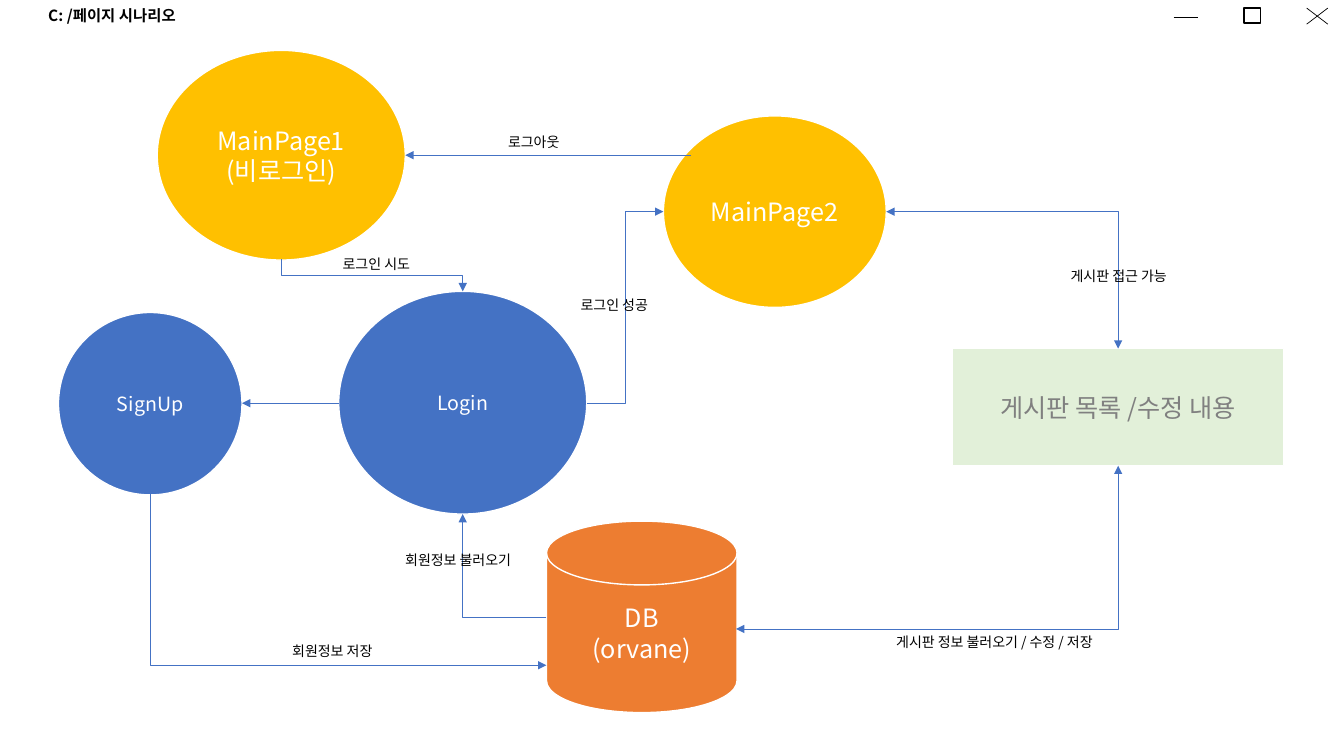
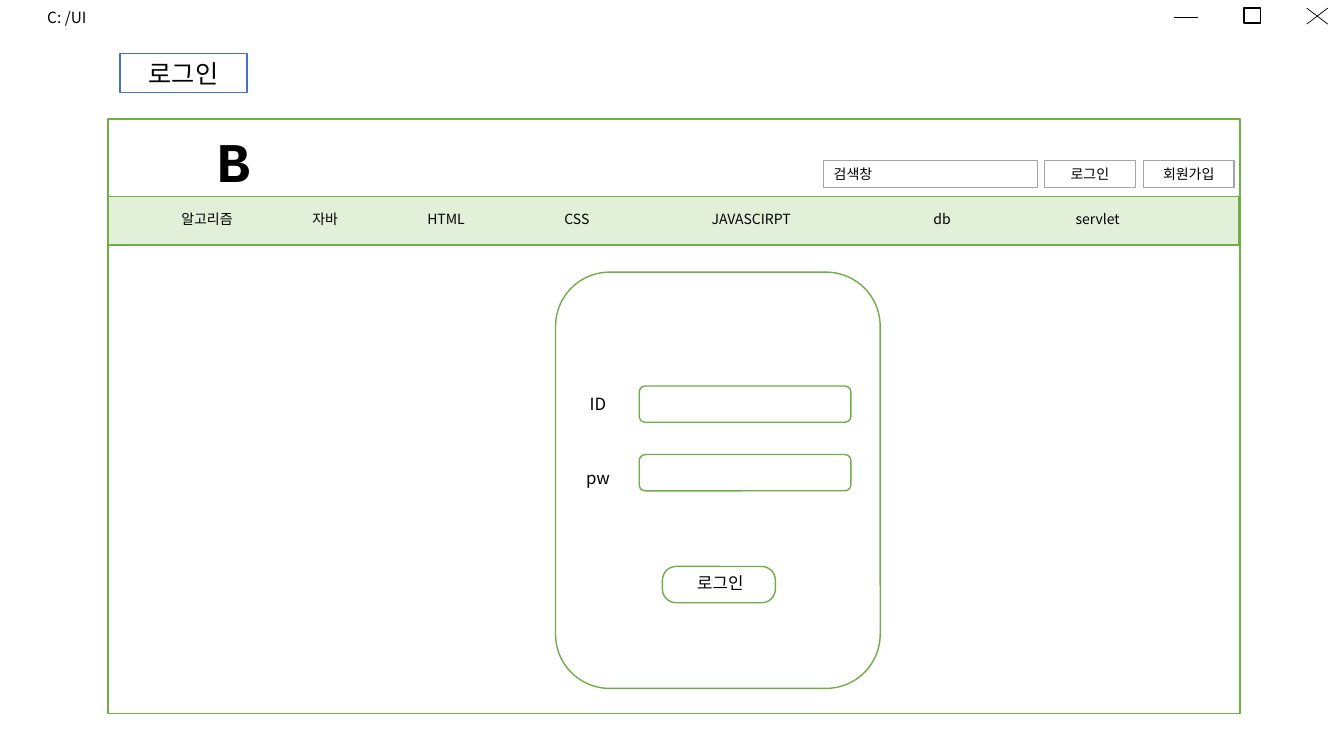
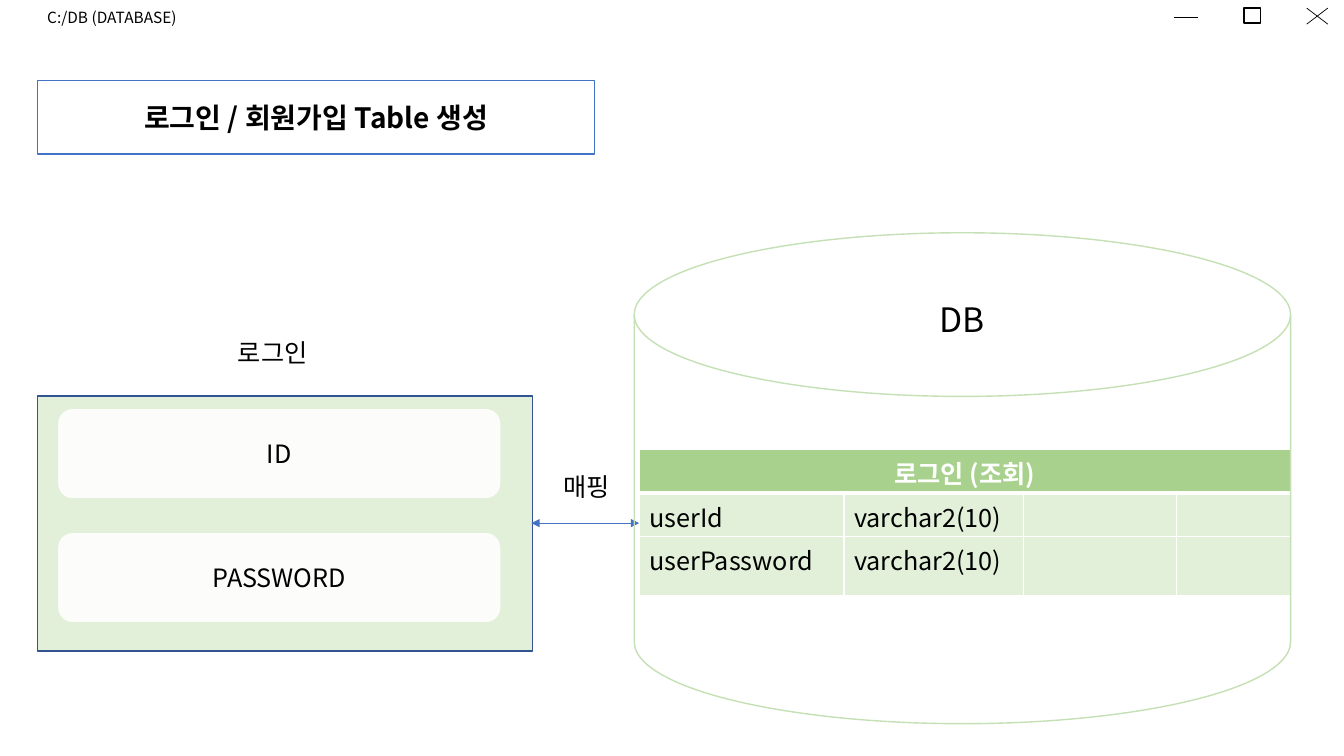
from lxml.etree import SubElement
from pptx import Presentation
from pptx.dml.color import RGBColor
from pptx.enum.shapes import MSO_CONNECTOR as Link, MSO_SHAPE as Shape
from pptx.enum.text import MSO_ANCHOR as Anchor, PP_ALIGN as Align
from pptx.oxml.ns import qn
from pptx.util import Inches, Pt

COLORS = {
    "black": "000000", "white": "FFFFFF", "gray": "808080", "silver": "A5A5A5",
    "blue": "4472C4", "navy": "325491", "gold": "FFC000", "orange": "ED7D31",
    "green": "70AD47", "leaf": "A9D18E", "mint": "C5E0B4", "pale": "E2F0D9",
}
FONT = "Noto Sans CJK KR"


def color(name):
    """Return the palette colour as an RGB value."""
    return RGBColor.from_string(COLORS[name])


def write_text(frame, text, size=10, ink="black", bold=False, align=Align.LEFT,
               anchor=Anchor.TOP, font=FONT):
    """Fill a text frame, one paragraph for each line of text."""
    frame.word_wrap = True
    frame.vertical_anchor = anchor
    for index, line in enumerate(text.split("\n")):
        para = frame.add_paragraph() if index else frame.paragraphs[0]
        para.alignment = align
        span = para.add_run()
        span.text = line
        span.font.name = font
        span.font.size = Pt(size)
        span.font.bold = bold
        span.font.color.rgb = color(ink)
        SubElement(span.font._element, qn("a:ea"), typeface=font)


def add_label(page, left, top, width, height, text, **style):
    """Place a text box."""
    box = page.shapes.add_textbox(*map(Inches, (left, top, width, height)))
    write_text(box.text_frame, text, **style)


def add_box(page, kind, left, top, width, height, fill="white", line="white",
            text="", alpha=None, corner=None, **style):
    """Place a preset shape with its fill, outline and text."""
    box = page.shapes.add_shape(kind, *map(Inches, (left, top, width, height)))
    box.shadow.inherit = False
    if fill:
        box.fill.solid()
        box.fill.fore_color.rgb = color(fill)
    else:
        box.fill.background()
    box.line.color.rgb = color(line)
    box.line.width = Pt(1)
    if alpha:
        tint = box.fill._xPr.find(".//" + qn("a:srgbClr"))
        SubElement(tint, qn("a:alpha"), val=str(alpha * 1000))
    if corner:
        box.adjustments[0] = corner
    if text:
        write_text(box.text_frame, text, **{"align": Align.CENTER, "anchor": Anchor.MIDDLE, **style})
    return box


def add_line(page, start, end, ink="blue", kind=Link.STRAIGHT, head=False, tail=False):
    """Draw a thin line with optional arrowheads at its start and end."""
    line = page.shapes.add_connector(kind, *map(Inches, (*start, *end)))
    line.line.color.rgb = color(ink)
    line.line.width = Pt(0.5)
    stroke = line.line._get_or_add_ln()
    for tag, wanted in (("a:headEnd", head), ("a:tailEnd", tail)):
        if wanted:
            SubElement(stroke, qn(tag), type="triangle")
    SubElement(line._element.spPr, qn("a:effectLst"))
    return line


def add_bend(page, start, end, preset, source=None, target=None, vertical=False, head=False):
    """Draw an elbow arrow; source and target are (shape, site) pairs to attach to."""
    if vertical:
        middle_x, middle_y = (start[0] + end[0]) / 2, (start[1] + end[1]) / 2
        half_x, half_y = (end[0] - start[0]) / 2, (end[1] - start[1]) / 2
        start = middle_x + half_y, middle_y - half_x
        end = middle_x - half_y, middle_y + half_x
    line = add_line(page, start, end, kind=Link.ELBOW, head=head, tail=True)
    line._element.spPr.find(qn("a:prstGeom")).set("prst", preset)
    if vertical:
        line._element.spPr.find(qn("a:xfrm")).set("rot", str(270 * 60000))
    links = line._element.find(".//" + qn("p:cNvCxnSpPr"))
    for tag, joint in (("a:stCxn", source), ("a:endCxn", target)):
        if joint:
            shape, site = joint
            SubElement(links, qn(tag), id=str(shape.shape_id), idx=str(site))


def add_page(deck, title, left=0.37, top=0.03, bold=False):
    """Add a blank page with the window title and the window buttons."""
    page = deck.slides.add_slide(deck.slide_layouts[6])
    add_label(page, left, top, 2.33, 0.29, title, size=11, bold=bold)
    add_line(page, (11.64, 0.17), (11.88, 0.17), "black")
    add_box(page, Shape.RECTANGLE, 12.34, 0.08, 0.16, 0.15, line="black")
    add_line(page, (12.96, 0.08), (13.17, 0.24), "black")
    add_line(page, (13.17, 0.08), (12.96, 0.24), "black")
    return page


def draw_scenario(page):
    """Draw the page flow: nodes, arrows and arrow labels."""
    database = add_box(page, Shape.FLOWCHART_MAGNETIC_DISK, 5.42, 5.17, 1.89, 1.9, "orange",
                       text="DB\n(orvane)", size=18, ink="white")
    sign_up, guest, login, member = [
        add_box(page, Shape.OVAL, *place, fill, text=text, size=size, ink="white")
        for place, fill, text, size in (
            ((0.58, 3.1, 1.82, 1.81), "blue", "SignUp", 14),
            ((1.56, 0.5, 2.46, 2.08), "gold", "MainPage1\n(비로그인)", 18),
            ((3.36, 2.89, 2.46, 2.21), "blue", "Login", 14),
            ((6.58, 1.15, 2.21, 1.9), "gold", "MainPage2", 18))]
    board = add_box(page, Shape.RECTANGLE, 9.45, 3.46, 3.28, 1.16, "pale",
                    text="게시판 목록 /수정 내용", size=18, ink="gray")

    corner, step = "bentConnector2", "bentConnector3"
    add_bend(page, (8.79, 2.1), (11.09, 3.46), corner, (member, 6), (board, 0), head=True)
    add_bend(page, (1.49, 4.9), (5.42, 6.6), corner, (sign_up, 4), vertical=True)
    add_bend(page, (5.42, 6.12), (4.59, 5.1), corner, (database, 2), (login, 4))
    add_bend(page, (7.3, 6.24), (11.09, 4.62), corner, None, (board, 2), head=True)
    add_bend(page, (2.79, 2.57), (4.59, 2.89), step, (guest, 4), (login, 0), vertical=True)
    add_bend(page, (5.82, 4), (6.58, 2.1), step, (login, 6), (member, 2))
    add_line(page, (3.36, 4), (2.4, 4), tail=True)
    add_line(page, (6.85, 1.54), (4.02, 1.54), tail=True)

    for left, top, width, text in (
            (2.8, 6.33, 1.12, "회원정보 저장"),
            (3.92, 5.42, 1.39, "회원정보 불러오기"),
            (10.52, 2.6, 1.39, "게시판 접근 가능"),
            (8.79, 6.24, 2.41, "게시판 정보 불러오기 / 수정 / 저장"),
            (3.3, 2.49, 1.09, "로그인 시도"),
            (5.66, 2.89, 1.09, "로그인 성공"),
            (4.94, 1.28, 1.09, "로그아웃")):
        add_label(page, left, top, width, 0.27, text)


def draw_site(page, left, top, width, height):
    """Draw the site frame with its logo letter, search row and menu."""
    add_box(page, Shape.RECTANGLE, left, top, width, height, line="green")
    menu_top = top + 0.77
    add_box(page, Shape.RECTANGLE, left, menu_top, width - 0.01, 0.48, "pale", "green")
    for line_top in (menu_top, menu_top + 0.47):
        add_line(page, (left, line_top), (left + width, line_top), "green")
    for offset, text in ((0.63, "알고리즘"), (1.93, "자바"), (3.07, "HTML"), (4.43, "CSS"),
                         (5.89, "JAVASCIRPT"), (8.09, "db"), (9.5, "servlet")):
        add_label(page, left + offset, menu_top + 0.09, 1.1, 0.27, text)
    for offset, field_width, text, align in (
            (7.1, 2.12, "검색창", Align.LEFT),
            (9.29, 0.9, "로그인", Align.CENTER),
            (10.27, 0.9, "회원가입", Align.CENTER)):
        add_box(page, Shape.RECTANGLE, left + offset, top + 0.41, field_width, 0.27,
                line="silver", text=text, align=align, anchor=Anchor.TOP)
    add_label(page, left + 0.98, top + 0.03, 0.91, 0.77, "B", size=40, bold=True,
              font="Courier New")


def draw_login_form(page, left, top, width, height):
    """Draw the rounded login panel with two fields and a button."""
    panel = Shape.ROUNDED_RECTANGLE
    add_box(page, panel, left, top, width, height, line="green")
    for text, field_top, label_top in (("ID", 1.13, 1.16), ("pw", 1.81, 1.89)):
        add_box(page, panel, left + 0.83, top + field_top, 2.1, 0.36, line="green")
        add_label(page, left + 0.01, top + label_top, 0.82, 0.29, text, size=12,
                  align=Align.CENTER)
    add_box(page, panel, left + 1.06, top + 2.92, 1.12, 0.36, line="green", corner=0.375)
    add_label(page, left + 1.1, top + 2.93, 1.07, 0.3, "로그인", size=12, align=Align.CENTER)


def draw_input_panel(page, left, top, width, height):
    """Draw the captioned panel with the two login inputs."""
    add_label(page, left + 0.47, top - 0.63, 3.73, 0.4, "로그인", size=18, align=Align.CENTER)
    add_box(page, Shape.RECTANGLE, left, top, width, height, "pale", "navy")
    for index, text in enumerate(("ID", "PASSWORD")):
        add_box(page, Shape.ROUNDED_RECTANGLE, left + 0.2, top + 0.12 + 1.23 * index, 4.4, 0.9,
                line="pale", alpha=91, text=text, size=18)


def format_cell(cell, fill, bottom):
    """Fill a cell and give it white borders."""
    cell.fill.solid()
    cell.fill.fore_color.rgb = color(fill)
    props = cell._tc.get_or_add_tcPr()
    for index, (side, points) in enumerate((("L", 1), ("R", 1), ("T", 1), ("B", bottom))):
        edge = SubElement(props, qn("a:ln" + side), w=str(Pt(points)))
        solid = SubElement(edge, qn("a:solidFill"))
        SubElement(solid, qn("a:srgbClr"), val=COLORS["white"])
        props.insert(index, edge)


def draw_login_table(page, left, top):
    """Draw the table of login columns."""
    widths, heights = (2.03, 1.78, 1.52, 1.13), (0.43, 0.43, 0.59)
    rows = (("로그인 (조회)",), ("userId", "varchar2(10)"), ("userPassword", "varchar2(10)"))
    table = page.shapes.add_table(
        len(heights), len(widths),
        *map(Inches, (left, top, sum(widths), sum(heights)))).table
    for column, width in zip(table.columns, widths):
        column.width = Inches(width)
    for row, height, texts in zip(table.rows, heights, rows):
        row.height = Inches(height)
        header = texts is rows[0]
        for cell in row.cells:
            format_cell(cell, "leaf" if header else "pale", 3 if header else 1)
        for cell, text in zip(row.cells, texts):
            write_text(cell.text_frame, text, size=18, bold=header,
                       ink="white" if header else "black",
                       align=Align.CENTER if header else Align.LEFT)
    table.cell(0, 0).merge(table.cell(0, len(widths) - 1))


def draw_database(page, left, top, width, height):
    """Draw the database outline around its table."""
    draw_login_table(page, left + 0.05, top + 2.15)
    add_label(page, left + 1.74, top + 0.61, 3.03, 0.5, "DB", size=24, align=Align.CENTER)
    add_box(page, Shape.FLOWCHART_MAGNETIC_DISK, left, top, width, height, None, "mint")


def main():
    """Build the three pages and save the deck."""
    deck = Presentation()
    deck.slide_width, deck.slide_height = Inches(13.33), Inches(7.5)

    draw_scenario(add_page(deck, "C: /페이지 시나리오", 0.38, 0.01, bold=True))

    page = add_page(deck, "C: /UI")
    add_box(page, Shape.RECTANGLE, 1.19, 0.53, 1.26, 0.39, line="blue", text="로그인", size=18,
            anchor=Anchor.TOP)
    draw_site(page, 1.07, 1.18, 11.23, 5.9)
    draw_login_form(page, 5.51, 2.7, 3.22, 4.13)

    page = add_page(deck, "C:/DB (DATABASE)")
    add_box(page, Shape.RECTANGLE, 0.37, 0.8, 5.53, 0.73, line="blue",
            text="로그인 / 회원가입 Table 생성", size=20, bold=True)
    draw_input_panel(page, 0.37, 3.93, 4.91, 2.53)
    add_line(page, (5.27, 5.19), (6.34, 5.19), head=True, tail=True)
    add_label(page, 5.28, 4.63, 1.08, 0.4, "매핑", size=18, align=Align.CENTER)
    draw_database(page, 6.29, 2.31, 6.51, 4.87)

    deck.save("out.pptx")


if __name__ == "__main__":
    main()
